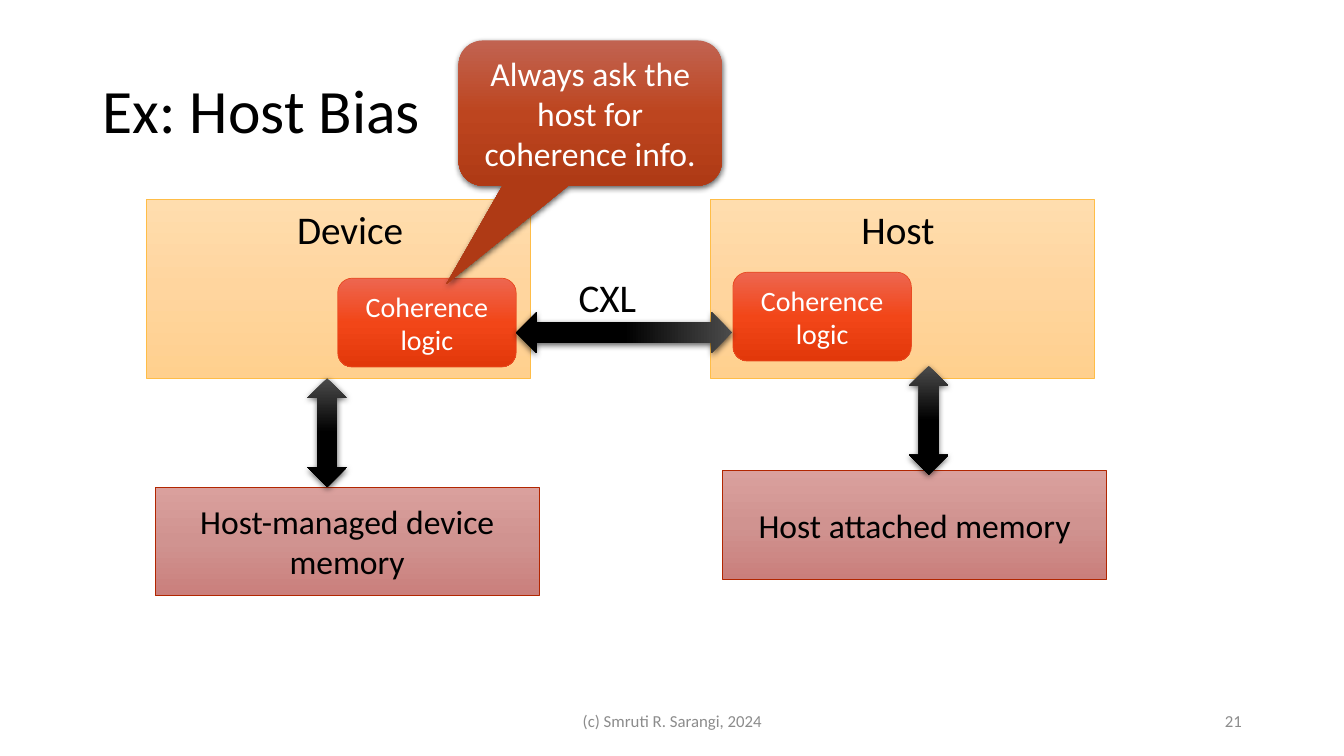
"""Build the slide on host bias in a device and host joined by CXL."""
from dataclasses import dataclass

from lxml import etree
from pptx import Presentation
from pptx.dml.color import RGBColor
from pptx.enum.shapes import MSO_SHAPE as Kind
from pptx.enum.text import MSO_ANCHOR as Anchor, PP_ALIGN as Align
from pptx.oxml import parse_xml
from pptx.oxml.ns import nsdecls, qn
from pptx.util import Cm, Pt


@dataclass(frozen=True)
class Theme:
    """Colours, font and type sizes."""
    font: str = "Calibri"
    ink: str = "000000"
    pale: str = "FFFFFF"
    grey: str = "8C8C8C"
    unit: tuple = ("FFDDAE", "FFD59E", "FFD08E")
    logic: tuple = ("ED6650", "F24618", "E2380A")
    store: tuple = ("DAA09D", "D09390", "CA7F7C")
    arrow: tuple = ("4B4B4B", "000000", "000000")
    call: tuple = ("C16351", "BD451F", "AF3A15")
    gold: str = "FFBD47"
    red: str = "E84C22"
    rust: str = "B22600"
    title: int = 44
    label: int = 28
    body: int = 24
    small: int = 20
    foot: int = 12


look = Theme()

TITLE = "Ex: Host Bias"
NOTE = "Always ask the host for coherence info."
LINK = "CXL"
LOGIC = "Coherence logic"
FOOT = "(c) Smruti R. Sarangi, 2024"
PAGE = "21"
SIDES = [
    {"name": "Host", "unit": (17.91, 5.03), "tag": (21.46, 2.54),
     "logic": (18.47, 6.86), "store": (18.21, 11.86),
     "arrow": (22.91, 9.22), "text": "Host attached memory"},
    {"name": "Device", "unit": (3.68, 5.03), "tag": (7.24, 3.68),
     "logic": (8.51, 7.01), "store": (3.91, 12.27),
     "arrow": (7.75, 9.53), "text": "Host-managed device memory"},
]
UNIT, CHIP, STORE, ARROW = (9.68, 4.5), (4.5, 2.24), (9.68, 2.74), (0.99, 2.74)
CALL = [-0.547, 1.177, 0.167]

deck = Presentation()
deck.slide_width, deck.slide_height = Cm(33.87), Cm(19.05)
slide = deck.slides.add_slide(deck.slide_layouts[6])


def write(text, box=None, shape=None, size=look.body, ink=look.ink,
          align=Align.CENTER, anchor=Anchor.MIDDLE, wrap=True, space=None):
    """Put text in a shape, or in a new text box."""
    shape = shape or slide.shapes.add_textbox(*map(Cm, box))
    frame = shape.text_frame
    frame.word_wrap, frame.vertical_anchor = wrap, anchor
    para = frame.paragraphs[0]
    para.text, para.alignment = text, align
    if space:
        para.line_spacing = space
    font = para.font
    font.name, font.size = look.font, Pt(size)
    font.color.rgb = RGBColor.from_string(ink)


def draw(kind, box, tones, edge=None, shade=False):
    """Add a shape with a three-tone fill that runs downward."""
    shape = slide.shapes.add_shape(kind, *map(Cm, box))
    shape.fill.gradient()
    shape.fill.gradient_angle = 270
    props = shape.element.spPr
    stops = props.find(".//" + qn("a:gsLst"))
    stops.clear()
    for i, tone in enumerate(tones):
        stop = etree.SubElement(stops, qn("a:gs"), pos=str(i * 50000))
        etree.SubElement(stop, qn("a:srgbClr"), val=tone)
    if edge:
        shape.line.color.rgb = RGBColor.from_string(edge)
        shape.line.width = Pt(0.5)
    else:
        shape.line.fill.background()
    shape.shadow.inherit = False
    if shade:
        props.find(qn("a:effectLst")).append(parse_xml(
            f'<a:outerShdw {nsdecls("a")} blurRad="{Pt(4.5)}" dist="{Pt(1.5)}" '
            'dir="5400000" algn="ctr" rotWithShape="0"><a:srgbClr val="000000">'
            '<a:alpha val="63000"/></a:srgbClr></a:outerShdw>'))
    return shape


def build(side):
    """Draw one unit with its logic, memory and arrow."""
    draw(Kind.RECTANGLE, side["unit"] + UNIT, look.unit, look.gold)
    left, width = side["tag"]
    write(side["name"], (left, 5.04, width, 1.45), size=look.label,
          align=Align.LEFT, anchor=Anchor.TOP)
    store = draw(Kind.RECTANGLE, side["store"] + STORE, look.store, look.rust)
    write(side["text"], shape=store)
    draw(Kind.UP_DOWN_ARROW, side["arrow"] + ARROW, look.arrow, shade=True)
    chip = draw(Kind.ROUNDED_RECTANGLE, side["logic"] + CHIP, look.logic, look.red)
    write(LOGIC, shape=chip, size=look.small, ink=look.pale)


write(TITLE, (2.34, 1.02, 29.21, 3.68), size=look.title, align=Align.LEFT, space=0.9)
for side in SIDES:
    build(side)
bus = draw(Kind.UP_DOWN_ARROW, (15.21, 5.66, 1.04, 5.44), look.arrow, shade=True)
bus.rotation = 90
write(LINK, (14.33, 6.76, 1.98, 1.45), size=look.label, align=Align.LEFT,
      anchor=Anchor.TOP, wrap=False)
call = draw(Kind.ROUNDED_RECTANGULAR_CALLOUT, (11.56, 1.02, 6.63, 3.66),
            look.call, shade=True)
for i, value in enumerate(CALL):
    call.adjustments[i] = value
write(NOTE, shape=call, ink=look.pale)
write(FOOT, (11.23, 17.65, 11.43, 1.02), size=look.foot, ink=look.grey)
write(PAGE, (23.93, 17.65, 7.62, 1.02), size=look.foot, ink=look.grey,
      align=Align.RIGHT)
deck.save("out.pptx")
